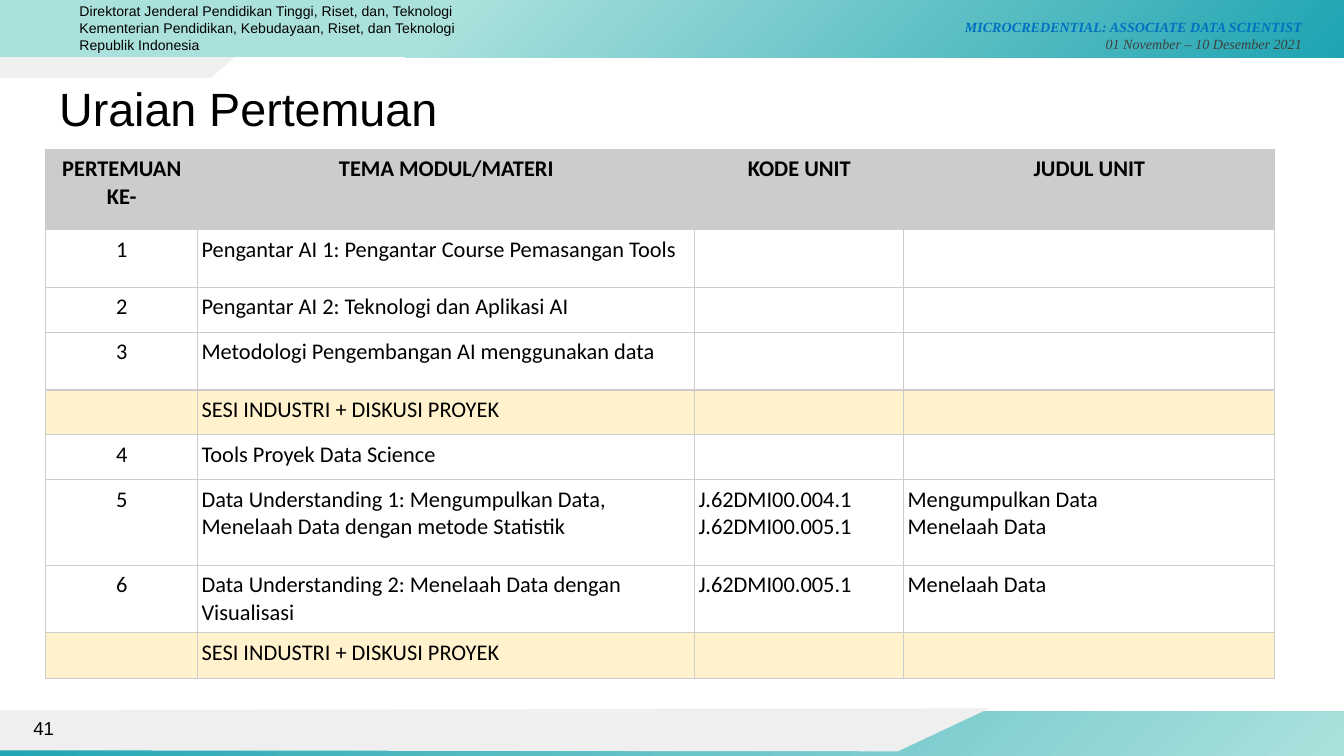
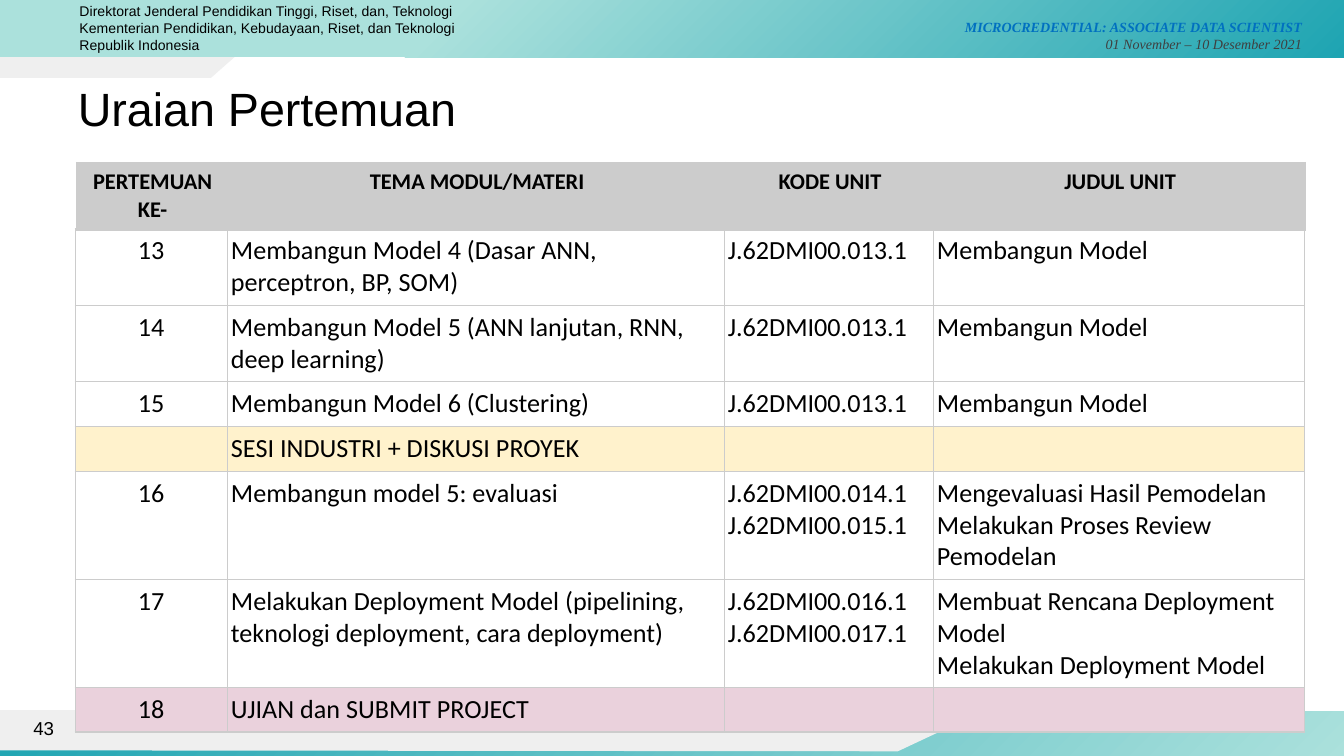
from dataclasses import dataclass

from lxml import etree
from pptx import Presentation
from pptx.dml.color import RGBColor
from pptx.enum import shapes, text
from pptx.oxml import ns
from pptx.util import Pt

HEADINGS = ("PERTEMUAN KE-", "TEMA MODUL/MATERI", "KODE UNIT", "JUDUL UNIT")
SESSION = ("", "SESI INDUSTRI + DISKUSI PROYEK", "", "")
EXAM = ("18", "UJIAN dan SUBMIT PROJECT", "", "")
TITLE = "Uraian Pertemuan"
MINISTRY = (
    "Direktorat Jenderal Pendidikan Tinggi, Riset, dan, Teknologi",
    "Kementerian Pendidikan, Kebudayaan, Riset, dan Teknologi Republik Indonesia",
)
COURSE = "MICROCREDENTIAL: ASSOCIATE DATA SCIENTIST"
DATES = "01 November – 10 Desember 2021"

OPENING_MEETINGS = [
    ("1", "Pengantar AI 1: Pengantar Course Pemasangan Tools", "", ""),
    ("2", "Pengantar AI 2: Teknologi dan Aplikasi AI", "", ""),
    ("3", "Metodologi Pengembangan AI menggunakan data", "", ""),
    SESSION,
    ("4", "Tools Proyek Data Science", "", ""),
    ("5", "Data Understanding 1: Mengumpulkan Data, Menelaah Data dengan metode Statistik",
     "J.62DMI00.004.1\nJ.62DMI00.005.1", "Mengumpulkan Data\nMenelaah Data"),
    ("6", "Data Understanding 2: Menelaah Data dengan Visualisasi",
     "J.62DMI00.005.1", "Menelaah Data"),
    SESSION,
]
CLOSING_MEETINGS = [
    ("13", "Membangun Model 4 (Dasar ANN, perceptron, BP, SOM)",
     "J.62DMI00.013.1", "Membangun Model"),
    ("14", "Membangun Model 5 (ANN lanjutan, RNN, deep learning)",
     "J.62DMI00.013.1", "Membangun Model"),
    ("15", "Membangun Model 6 (Clustering)", "J.62DMI00.013.1", "Membangun Model"),
    SESSION,
    ("16", "Membangun model 5: evaluasi", "J.62DMI00.014.1\nJ.62DMI00.015.1",
     "Mengevaluasi Hasil Pemodelan\nMelakukan Proses Review Pemodelan"),
    ("17", "Melakukan Deployment Model (pipelining, teknologi deployment, cara deployment)",
     "J.62DMI00.016.1\nJ.62DMI00.017.1",
     "Membuat Rencana Deployment Model\nMelakukan Deployment Model"),
    EXAM,
]

# Each table: left, top, text size, row heights, rows
PAGES = [
    dict(number="41", title_left=24.5, tables=[
        (24.5, 80, 12, (43, 31, 24, 31, 24, 24, 46, 36, 24.5),
         [HEADINGS] + OPENING_MEETINGS),
    ]),
    dict(number="43", title_left=34.5, tables=[
        (41, 87, 12, (36.5,), [HEADINGS]),
        (40.25, 122.5, 14, (41, 41, 24, 24, 57.75, 57.75, 24), CLOSING_MEETINGS),
    ]),
]
COLUMN_WIDTHS = (81.5, 266.25, 112, 198.75)
WIDTH, HEIGHT = 720, 405


@dataclass(frozen=True)
class Theme:
    black: str = "000000"
    teal: str = "1EA4B2"
    mint: str = "ABE1DC"
    panel: str = "EFEFEF"
    grid: str = "CCCCCC"
    session: str = "FFF2CC"
    exam: str = "EAD1DC"
    course: str = "0070C0"
    dates: str = "3F3F3F"
    sans: str = "Arial"
    serif: str = "Times New Roman"
    table: str = "Calibri"
    title_size: float = 25
    number_size: float = 10
    band_size: float = 7.5


THEME = Theme()
ROW_FILLS = {HEADINGS: THEME.grid, SESSION: THEME.session, EXAM: THEME.exam}


def style(font, name, size, color=THEME.black, bold=False, italic=False):
    font.name, font.size = name, Pt(size)
    font.bold, font.italic = bold, italic
    font.color.rgb = RGBColor.from_string(color)


def child(parent, tag, **attributes):
    return etree.SubElement(parent, ns.qn(tag), **attributes)


def solid_line(parent, tag, color, width):
    line = child(parent, tag, w=str(Pt(width)))
    child(child(line, "a:solidFill"), "a:srgbClr", val=color)


def add_band(page, top, height, stops):
    """Full-width bar with a gradient spreading from its lower right corner."""
    band = page.shapes.add_shape(shapes.MSO_SHAPE.RECTANGLE, 0, Pt(top), Pt(WIDTH), Pt(height))
    band.shadow.inherit = False
    band.line.fill.background()
    band.fill.gradient()
    gradient = band.element.spPr.find(ns.qn("a:gradFill"))
    for part in list(gradient):
        gradient.remove(part)
    stop_list = child(gradient, "a:gsLst")
    for percent, color in stops:
        stop = child(stop_list, "a:gs", pos=str(percent * 1000))
        child(stop, "a:srgbClr", val=color)
    spread = child(gradient, "a:path", path="circle")
    child(spread, "a:fillToRect", l="100000", t="100000")


def add_panel(page, points):
    builder = page.shapes.build_freeform(*map(Pt, points[0]), scale=1.0)
    builder.add_line_segments([(Pt(x), Pt(y)) for x, y in points[1:]], close=True)
    panel = builder.convert_to_shape()
    panel.shadow.inherit = False
    panel.fill.solid()
    panel.fill.fore_color.rgb = RGBColor.from_string(THEME.panel)
    panel.line.fill.background()


def add_text_box(page, left, top, width, height):
    box = page.shapes.add_textbox(Pt(left), Pt(top), Pt(width), Pt(height))
    box.text_frame.word_wrap = True
    return box.text_frame


def add_banner_text(page):
    frame = add_text_box(page, 428.5, 3.5, 276, 28)
    frame.margin_top = Pt(6.5)
    para = frame.paragraphs[0]
    para.alignment = text.PP_ALIGN.RIGHT
    span = para.add_run()
    span.text = COURSE
    style(span.font, THEME.serif, THEME.band_size, THEME.course, bold=True, italic=True)
    para.add_line_break()
    span = para.add_run()
    span.text = DATES
    style(span.font, THEME.serif, THEME.band_size, THEME.dates, italic=True)

    frame = add_text_box(page, 35.5, -2, 240, 34.5)
    frame.text = "\n".join(MINISTRY)
    for para in frame.paragraphs:
        style(para.font, THEME.sans, THEME.band_size)


def furnish_layout(layout, page):
    """Draw the shared parts on a page, then hand them to its layout."""
    for holder in list(layout.placeholders):
        if holder.placeholder_format.type != shapes.PP_PLACEHOLDER.TITLE:
            holder.element.getparent().remove(holder.element)
    add_panel(page, [(132, 25), (0, 24), (0, 41.75), (113, 41.75)])
    add_band(page, 381, 26, [(0, THEME.mint), (100, THEME.teal)])
    add_panel(page, [(530, 379.5), (0, 380.5), (0, 402), (481, 402.5)])
    add_band(page, 0, 30.75, [(0, THEME.teal), (67, THEME.mint), (100, THEME.mint)])
    add_banner_text(page)
    for shape in list(page.shapes):
        if not shape.is_placeholder:
            layout.shapes.element.append(shape.element)


def fill_cell(cell, words, size, fill, centred, bold):
    cell.margin_left = cell.margin_right = Pt(2)
    cell.margin_top = cell.margin_bottom = Pt(3.4)
    para = cell.text_frame.paragraphs[0]
    para.text = words
    para.alignment = text.PP_ALIGN.CENTER if centred else text.PP_ALIGN.LEFT
    style(para.font, THEME.table, size, bold=bold)
    if not words:
        child(para._p, "a:endParaRPr", sz=str(size * 100))
    properties = cell._tc.get_or_add_tcPr()
    for side in "LRTB":
        solid_line(properties, f"a:ln{side}", THEME.grid, 0.75)
    if fill:
        cell.fill.solid()
        cell.fill.fore_color.rgb = RGBColor.from_string(fill)
    else:
        cell.fill.background()


def add_meeting_table(page, left, top, size, heights, rows):
    table = page.shapes.add_table(
        len(rows), len(COLUMN_WIDTHS), Pt(left), Pt(top),
        Pt(sum(COLUMN_WIDTHS)), Pt(sum(heights))).table
    table.first_row = table.horz_banding = False
    for column, width in zip(table.columns, COLUMN_WIDTHS):
        column.width = Pt(width)
    for row, height, words in zip(table.rows, heights, rows):
        row.height = Pt(height)
        heading = words == HEADINGS
        for index, cell in enumerate(row.cells):
            fill_cell(cell, words[index], size, ROW_FILLS.get(words),
                      centred=heading or index == 0, bold=heading)


def set_title(page, left):
    title = page.shapes.title
    title.left, title.top, title.width, title.height = map(Pt, (left, 35.5, 671, 45))
    frame = title.text_frame
    frame.text = TITLE
    frame.auto_size = text.MSO_AUTO_SIZE.NONE
    frame.vertical_anchor = text.MSO_ANCHOR.MIDDLE
    para = frame.paragraphs[0]
    para.alignment = text.PP_ALIGN.LEFT
    style(para.font, THEME.sans, THEME.title_size)


def add_page_number(page, number):
    frame = add_text_box(page, 0, 379.5, 36, 21.5)
    frame.vertical_anchor = text.MSO_ANCHOR.MIDDLE
    para = frame.paragraphs[0]
    para.text = number
    para.alignment = text.PP_ALIGN.RIGHT
    style(para.font, THEME.sans, THEME.number_size)


def main():
    deck = Presentation()
    deck.slide_width, deck.slide_height = Pt(WIDTH), Pt(HEIGHT)
    layout = deck.slide_layouts.get_by_name("Title Only")
    for index, content in enumerate(PAGES):
        page = deck.slides.add_slide(layout)
        if index == 0:
            furnish_layout(layout, page)
        set_title(page, content["title_left"])
        for table in content["tables"]:
            add_meeting_table(page, *table)
        add_page_number(page, content["number"])
    deck.save("out.pptx")


if __name__ == "__main__":
    main()
